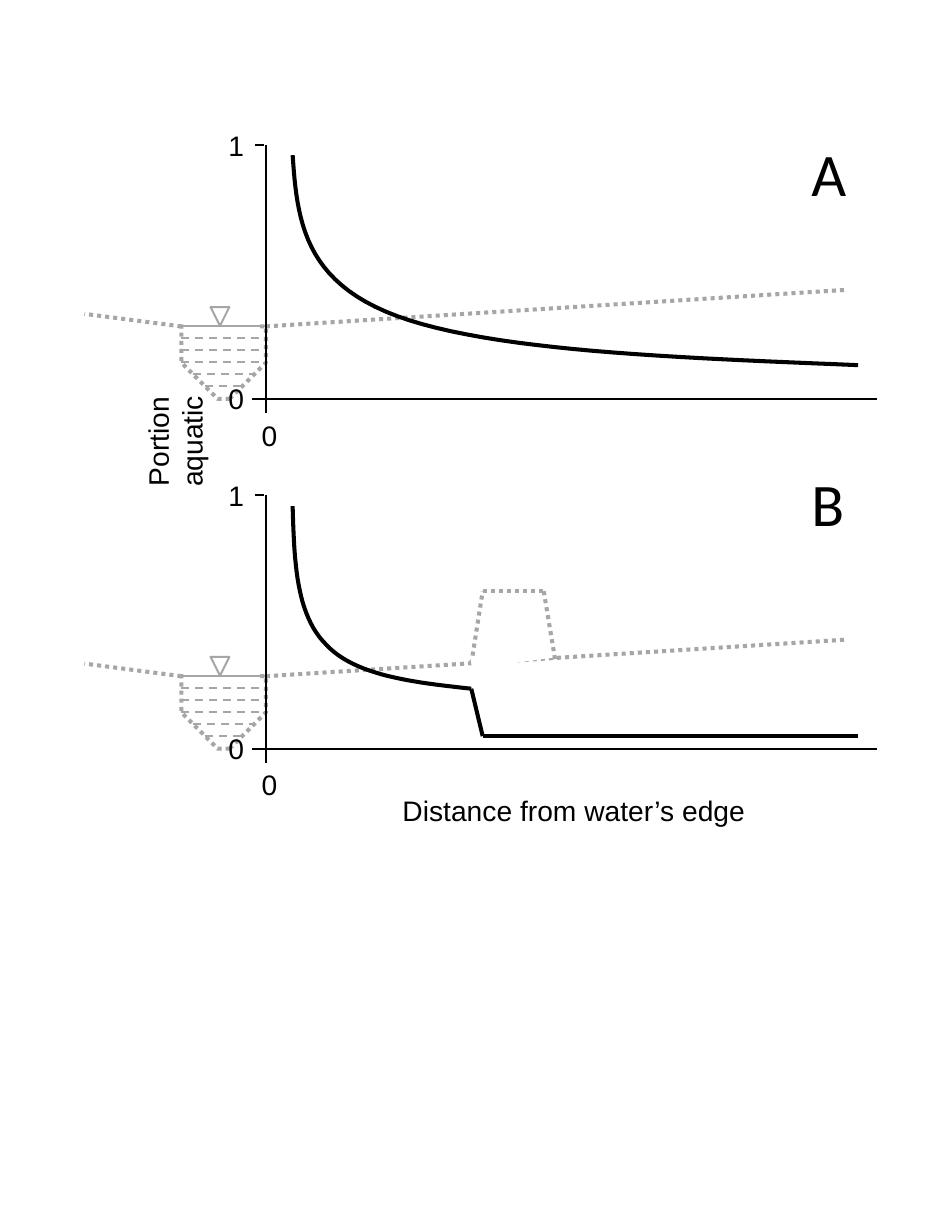
from lxml import etree
from pptx import Presentation
from pptx import util as u
from pptx.dml.color import RGBColor
from pptx.enum import dml, shapes, text
from pptx.oxml import ns

COLOURS = {"ink": "000000", "ground": "A6A6A6", "paper": "FFFFFF"}
DOTTED = dml.MSO_LINE.ROUND_DOT
DASHED = dml.MSO_LINE.DASH
PANEL_TOPS = {"A": 2.54, "B": 8.67}
AXIS_X, AXIS_END = 4.66, 15.37
AXIS_BASE, WATER_LEVEL = 4.45, 3.18
CHANNEL_LEFT, CHANNEL_DEPTH = 3.18, 1.27
WATER_STEP = 0.21
CURVE_STEPS = 24
CURVE_A = [(5.13, 0.18), (5.21, 1.3), (5.31, 2.39), (6.96, 3),
           (8.61, 3.61), (11.81, 3.73), (15.04, 3.86)]
CURVE_B = [(5.13, 0.2), (5.16, 1.14), (5.18, 2.1), (5.72, 2.63),
           (6.22, 3.17), (7.24, 3.29), (8.26, 3.4)]


def colour(name):
    return RGBColor.from_string(COLOURS[name])


def style_line(line, name, width, dash=None):
    line.color.rgb = colour(name)
    line.width = u.Pt(width)
    if dash:
        line.dash_style = dash


def add_line(slide, start, end, name="ink", width=1, dash=None):
    connector = slide.shapes.add_connector(
        shapes.MSO_CONNECTOR.STRAIGHT, *[u.Cm(value) for value in (*start, *end)])
    style_line(connector.line, name, width, dash)
    etree.SubElement(connector._element.spPr, ns.qn("a:effectLst"))


def add_shape(slide, kind, box, fill=None):
    shape = slide.shapes.add_shape(kind, *[u.Cm(value) for value in box])
    shape.shadow.inherit = False
    if fill:
        shape.fill.solid()
        shape.fill.fore_color.rgb = colour(fill)
    else:
        shape.fill.background()
    return shape


def add_label(slide, box, lines, size=14, font="Arial", align=text.PP_ALIGN.CENTER):
    shape = slide.shapes.add_textbox(*[u.Cm(value) for value in box])
    frame = shape.text_frame
    frame.word_wrap = True
    frame.auto_size = text.MSO_AUTO_SIZE.SHAPE_TO_FIT_TEXT
    frame.margin_left = frame.margin_right = u.Cm(0)
    for index, line in enumerate(lines):
        paragraph = frame.add_paragraph() if index else frame.paragraphs[0]
        paragraph.alignment = align
        run = paragraph.add_run()
        run.text = line
        run.font.size = u.Pt(size)
        run.font.name = font
        run.font.color.rgb = colour("ink")
    return shape


def bezier_point(controls, t):
    weights = ((1 - t) ** 3, 3 * t * (1 - t) ** 2, 3 * t ** 2 * (1 - t), t ** 3)
    return tuple(sum(weight * point[axis] for weight, point in zip(weights, controls))
                 for axis in (0, 1))


def add_curve(slide, top, controls):
    points = [controls[0]]
    for first in range(0, len(controls) - 1, 3):
        points += [bezier_point(controls[first:first + 4], step / CURVE_STEPS)
                   for step in range(1, CURVE_STEPS + 1)]
    points = [(u.Cm(x), u.Cm(top + y)) for x, y in points]
    builder = slide.shapes.build_freeform(*points[0])
    builder.add_line_segments(points[1:], close=False)
    curve = builder.convert_to_shape()
    curve.shadow.inherit = False
    curve.fill.background()
    style_line(curve.line, "ink", 2)


def add_channel(slide, top):
    water = top + WATER_LEVEL
    width = AXIS_X - CHANNEL_LEFT
    channel = add_shape(slide, shapes.MSO_SHAPE.SNIP_2_SAME_RECTANGLE,
                        (CHANNEL_LEFT, water, width, CHANNEL_DEPTH), "paper")
    channel.adjustments[0] = 0.5
    channel.adjustments[1] = 0
    channel.rotation = 180
    style_line(channel.line, "ground", 2, DOTTED)
    add_line(slide, (AXIS_X, water), (14.82, top + 2.54), "ground", 2, DOTTED)
    add_line(slide, (CHANNEL_LEFT, water), (1.48, top + 2.96), "ground", 2, DOTTED)
    opening = add_shape(slide, shapes.MSO_SHAPE.RECTANGLE,
                        (3.28, top + 2.96, 1.27, 0.48), "paper")
    opening.line.fill.background()
    for row in range(6):
        inset = max(0, row - 3) * WATER_STEP
        y = water + row * WATER_STEP
        add_line(slide, (CHANNEL_LEFT + inset, y), (AXIS_X - inset, y),
                 "ground", 1, DASHED if row else None)
    marker = add_shape(slide, shapes.MSO_SHAPE.ISOSCELES_TRIANGLE,
                       (3.69, top + 2.84, 0.33, 0.33))
    marker.rotation = 180
    style_line(marker.line, "ground", 1)


def add_panel(slide, top, controls):
    base = top + AXIS_BASE
    add_line(slide, (4.42, base), (AXIS_END, base))
    add_label(slide, (3.81, top - 0.42, 0.66, 0.84), ["1"])
    add_line(slide, (4.47, top), (4.62, top))
    add_channel(slide, top)
    add_label(slide, (3.81, base - 0.43, 0.66, 0.84), ["0"])
    add_line(slide, (AXIS_X, top), (AXIS_X, top + 4.7))
    add_curve(slide, top, controls)
    add_label(slide, (4.19, base + 0.21, 1.07, 0.86), ["0"])


def add_levee(slide, top):
    toe, left, right = (8.26, top + 2.96), (8.46, top + 1.69), (9.53, top + 1.69)
    add_line(slide, toe, left, "ground", 2, DOTTED)
    add_line(slide, left, right, "ground", 2, DOTTED)
    add_line(slide, toe, (9.73, top + 2.76), "paper", 5)
    add_line(slide, right, (9.73, top + 2.89), "ground", 2, DOTTED)
    drop = (8.46, top + 4.23)
    add_line(slide, CURVE_B[-1][:1] + (top + CURVE_B[-1][1],), drop, "ink", 2)
    add_line(slide, drop, (15.04, top + 4.23), "ink", 2)


def main():
    presentation = Presentation()
    presentation.slide_width = u.Cm(16.51)
    presentation.slide_height = u.Cm(21.59)
    slide = presentation.slides.add_slide(presentation.slide_layouts[6])
    add_panel(slide, PANEL_TOPS["A"], CURVE_A)
    add_panel(slide, PANEL_TOPS["B"], CURVE_B)
    add_levee(slide, PANEL_TOPS["B"])
    add_label(slide, (6.35, 13.77, 7.42, 0.86), ["Distance from water’s edge"])
    add_label(slide, (0.84, 7.01, 4.45, 1.45), ["Portion", "aquatic"]).rotation = 270
    for letter, y in (("A", 2.26), ("B", 8.05)):
        add_label(slide, (14.22, y, 1.02, 1.55), [letter], 30, "Calibri",
                  text.PP_ALIGN.LEFT)
    presentation.save("out.pptx")


if __name__ == "__main__":
    main()
